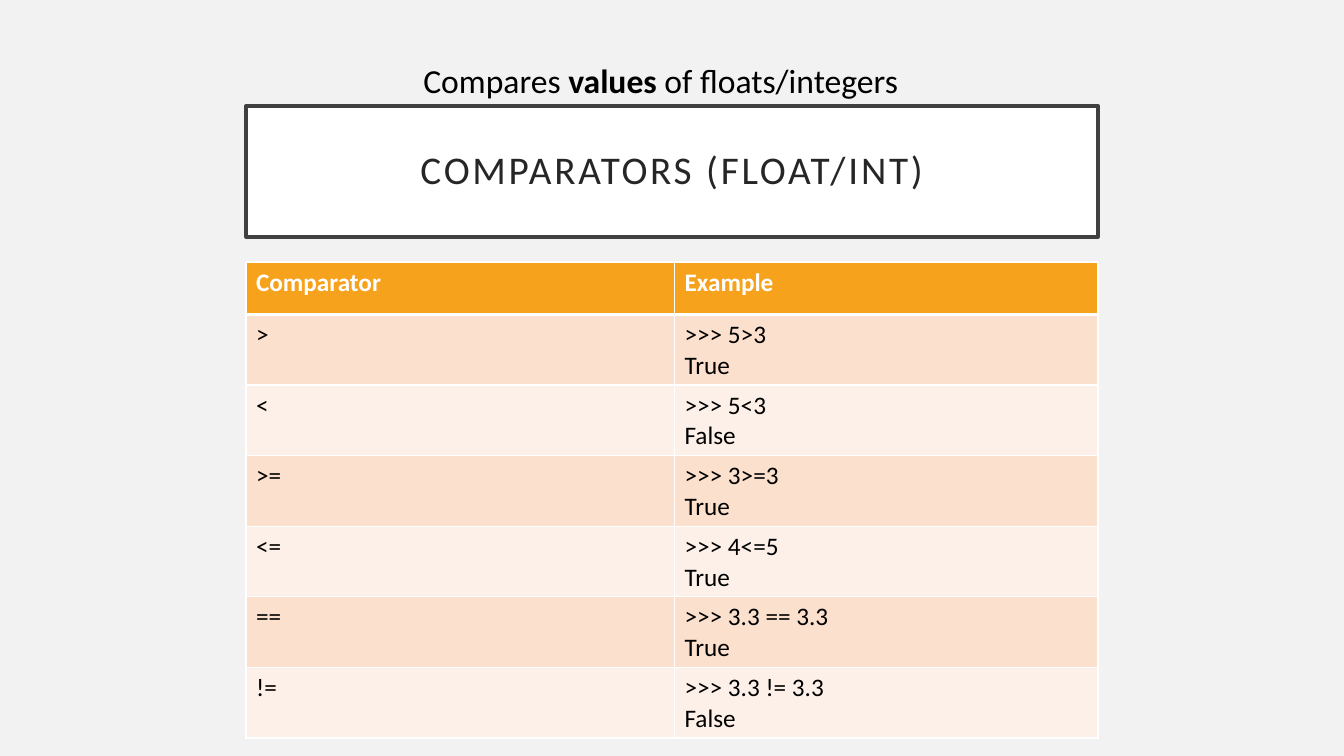
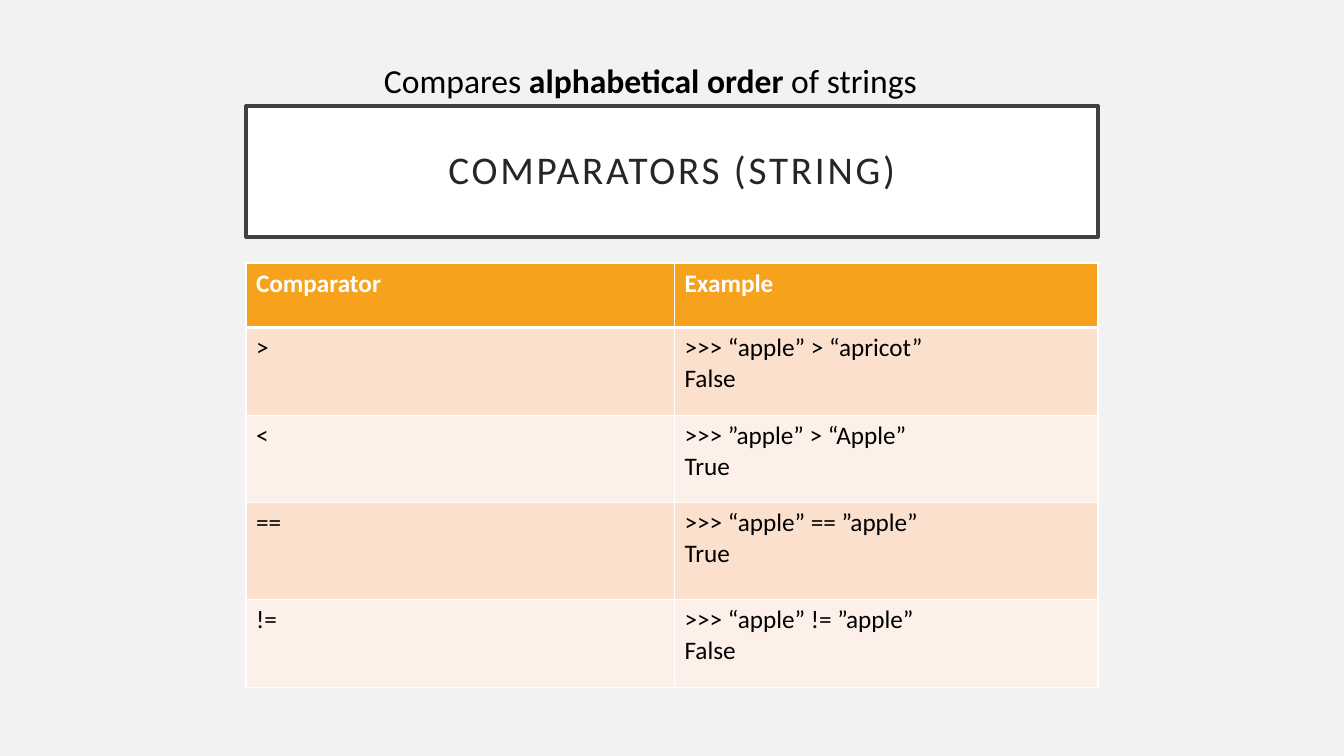
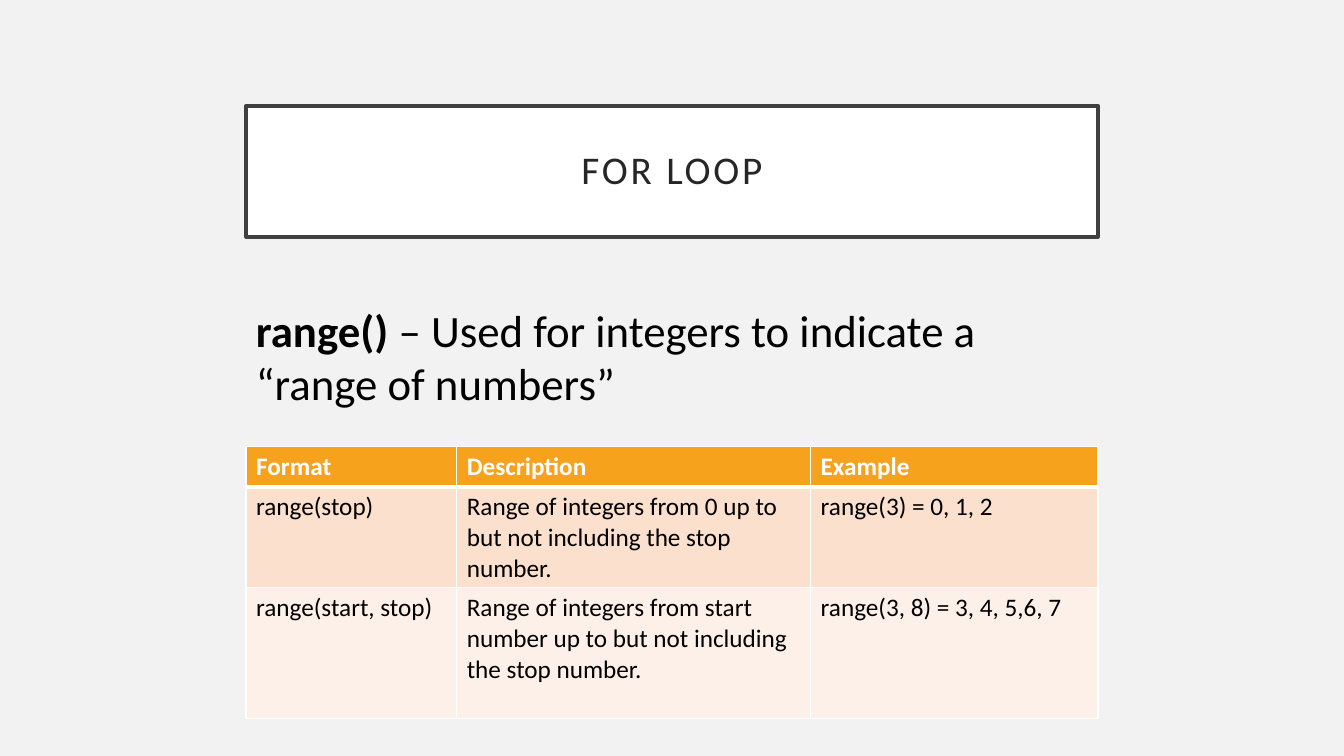
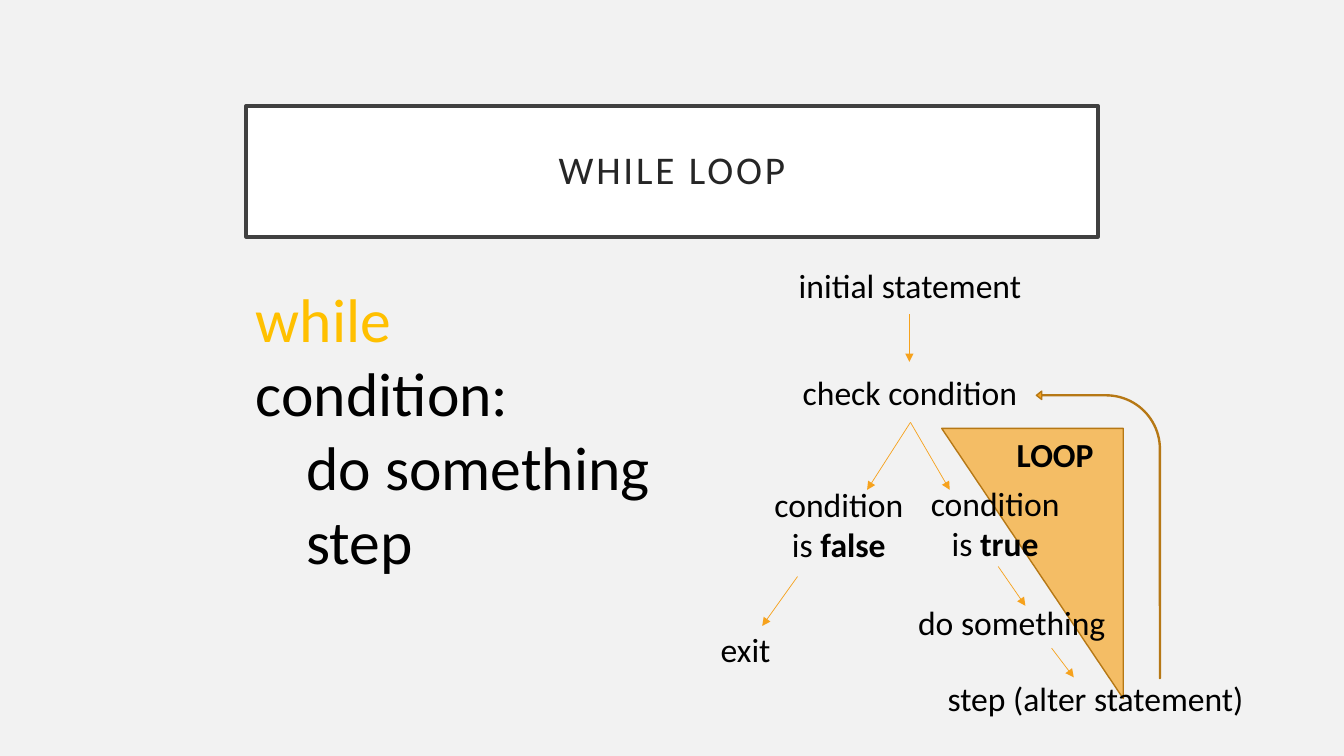
from pptx import Presentation
from pptx.dml.color import RGBColor
from pptx.enum.shapes import MSO_CONNECTOR, MSO_SHAPE
from pptx.enum.text import MSO_ANCHOR, MSO_AUTO_SIZE, PP_ALIGN
from pptx.oxml.ns import qn
from pptx.util import Inches, Pt
from lxml import etree

STRAIGHT = MSO_CONNECTOR.STRAIGHT
RIGHT_TRIANGLE, BENT_ARROW = MSO_SHAPE.RIGHT_TRIANGLE, MSO_SHAPE.BENT_ARROW
MIDDLE, CENTER, LEFT = MSO_ANCHOR.MIDDLE, PP_ALIGN.CENTER, PP_ALIGN.LEFT
FIT_SHAPE, NO_FIT = MSO_AUTO_SIZE.SHAPE_TO_FIT_TEXT, MSO_AUTO_SIZE.NONE

THEME = {
    "font": "Calibri", "background": "F2F2F2", "white": "FFFFFF", "black": "000000",
    "title": "262626", "frame": "404040", "accent": "F6A21D", "outline": "B67815",
    "keyword": "FFC000", "bands": ("FBE0CD", "FDF0E8"),
    "title_size": 28, "table_size": 18, "label_size": 24, "lead_size": 32, "code_size": 44,
}
SLIDE_W, SLIDE_H = 13.33, 7.5
MARGIN, CONTENT_W = 2.44, 8.45
TITLE_BOX = (MARGIN, 1.05, CONTENT_W, 1.3)
LABEL_W, LABEL_H, BRANCH_W = 3.45, 0.5, 1.62

TABLE_SLIDES = [
    {
        "title": "COMPARATORS (FLOAT/INT)",
        "lead": ("Compares **values** of floats/integers", (4.1, 0.55, 5.12, 0.5), "label_size"),
        "top": 2.6, "columns": (4.25, 4.2), "rows": [0.52] + [0.7] * 6,
        "cells": [
            ("Comparator", "Example"),
            (">", ">>> 5>3\nTrue"),
            ("<", ">>> 5<3\nFalse"),
            (">=", ">>> 3>=3\nTrue"),
            ("<=", ">>> 4<=5\nTrue"),
            ("==", ">>> 3.3 == 3.3\nTrue"),
            ("!=", ">>> 3.3 != 3.3\nFalse"),
        ],
    },
    {
        "title": "COMPARATORS (STRING)",
        "lead": ("Compares **alphabetical order **of strings", (3.71, 0.55, 5.92, 0.5), "label_size"),
        "top": 2.61, "columns": (4.25, 4.2), "rows": [0.64, 0.87, 0.87, 0.96, 0.87],
        "cells": [
            ("Comparator", "Example"),
            (">", ">>> “apple” > “apricot”\nFalse"),
            ("<", ">>> ”apple” > “Apple”\nTrue"),
            ("==", ">>> “apple” == ”apple”\nTrue"),
            ("!=", ">>> “apple” != ”apple”\nFalse"),
        ],
    },
    {
        "title": "FOR LOOP",
        "lead": ("**range() **– Used for integers to indicate a “range of numbers”",
                 (MARGIN, 2.95, CONTENT_W, 1.18), "lead_size"),
        "top": 4.43, "columns": (2.09, 3.51, 2.85), "rows": [0.4, 1.0, 1.3],
        "cells": [
            ("Format", "Description", "Example"),
            ("range(stop)",
             "Range of integers from 0 up to but not including the stop number.",
             "range(3) = 0, 1, 2"),
            ("range(start, stop)",
             "Range of integers from start number up to but not including the stop number.",
             "range(3, 8) = 3, 4, 5,6, 7"),
        ],
    },
]

WHILE_TITLE = "WHILE LOOP"
WHILE_CODE = [("while", "\vcondition:"), ("", "do something"), ("", "step")]
CODE_BOX, CODE_INDENT = (MARGIN, 2.74, 4.18, 2.32), 0.5
FLOW_LABELS = [
    ("initial statement", 7.3, 2.58, LABEL_W, LABEL_H),
    ("check condition", 7.3, 3.64, LABEL_W, LABEL_H),
    ("condition is **false**", 7.51, 4.75, BRANCH_W, 0.91),
    ("exit", 5.67, 6.19, LABEL_W, LABEL_H),
    ("condition is **true**", 9.06, 4.74, BRANCH_W, 0.91),
    ("do something", 8.31, 5.92, LABEL_W, LABEL_H),
    ("step (alter statement)", 9.14, 6.68, LABEL_W, LABEL_H),
    ("**LOOP**", 9.53, 4.26, 1.87, LABEL_H),
]
FLOW_ARROWS = [
    (9.02, 3.12, 9.02, 3.59),
    (9.03, 4.19, 8.6, 4.86),
    (9.03, 4.19, 9.42, 4.86),
    (7.91, 5.72, 7.56, 6.21),
    (9.9, 5.62, 10.17, 6.01),
    (10.43, 6.43, 10.65, 6.72),
]
LOOP_AREA, LOOP_ALPHA = (9.34, 4.25, 1.8, 2.68), 66
RETURN_ARROW, RETURN_BEND = (10.28, 3.88, 1.23, 2.85), (0.008, 0.034, 0.043, 0.438)


def rgb(name):
    return RGBColor.from_string(THEME.get(name, name))


def inches(values):
    return [Inches(v) for v in values]


def apply(target, formats):
    for name, value in formats.items():
        setattr(target, name, value)


def paint(shape, fill, line, width):
    shape.fill.solid()
    shape.fill.fore_color.rgb = rgb(fill)
    shape.line.color.rgb = rgb(line)
    shape.line.width = Pt(width)


def add_run(paragraph, text, size, color="black", bold=False):
    run = paragraph.add_run()
    run.text = text
    apply(run.font, {"name": THEME["font"], "size": Pt(THEME[size]), "bold": bold})
    run.font.color.rgb = rgb(color)
    return run


def add_marked(paragraph, text, size):
    for i, part in enumerate(text.split("**")):
        if part:
            add_run(paragraph, part, size, bold=i % 2 == 1)


def add_text(slide, box, text="", size="label_size", align=LEFT):
    frame = slide.shapes.add_textbox(*inches(box)).text_frame
    apply(frame, {"word_wrap": True, "auto_size": FIT_SHAPE})
    frame.paragraphs[0].alignment = align
    add_marked(frame.paragraphs[0], text, size)
    return frame


def add_slide(prs, title):
    slide = prs.slides.add_slide(prs.slide_layouts[5])
    heading = slide.shapes.title
    apply(heading, dict(zip(("left", "top", "width", "height"), inches(TITLE_BOX))))
    paint(heading, "white", "frame", 2.5)
    frame = heading.text_frame
    apply(frame, {"vertical_anchor": MIDDLE, "word_wrap": True, "auto_size": NO_FIT})
    apply(frame, {f"margin_{side}": Inches(0.2) for side in ("left", "top", "right", "bottom")})
    paragraph = frame.paragraphs[0]
    apply(paragraph, {"alignment": CENTER, "line_spacing": 0.9})
    run = add_run(paragraph, title, "title_size", "title")
    run.font._element.set("spc", "200")
    return slide


def set_borders(cell, widths):
    properties = cell._tc.get_or_add_tcPr()
    for i, (side, width) in enumerate(widths.items()):
        line = etree.Element(qn(f"a:ln{side}"), w=str(Pt(width)))
        fill = etree.SubElement(line, qn("a:solidFill"))
        etree.SubElement(fill, qn("a:srgbClr"), val=THEME["white"])
        properties.insert(i, line)


def add_grid(slide, top, columns, rows, cells):
    box = (MARGIN, top, sum(columns), sum(rows))
    table = slide.shapes.add_table(len(rows), len(columns), *inches(box)).table
    for column, width in zip(table.columns, columns):
        column.width = Inches(width)
    for r, (height, texts) in enumerate(zip(rows, cells)):
        table.rows[r].height = Inches(height)
        header = r == 0
        for c, text in enumerate(texts):
            cell = table.cell(r, c)
            cell.fill.solid()
            cell.fill.fore_color.rgb = rgb("accent" if header else THEME["bands"][(r - 1) % 2])
            set_borders(cell, {"L": 1, "R": 1, "T": 3 if r == 1 else 1, "B": 3 if header else 1})
            frame = cell.text_frame
            for i, line in enumerate(text.split("\n")):
                paragraph = frame.add_paragraph() if i else frame.paragraphs[0]
                add_run(paragraph, line, "table_size", "white" if header else "black", header)


def add_arrow(slide, ends):
    arrow = slide.shapes.add_connector(STRAIGHT, *inches(ends))
    arrow.line.color.rgb = rgb("accent")
    arrow.line.width = Pt(0.5)
    etree.SubElement(arrow.line._get_or_add_ln(), qn("a:tailEnd"), type="triangle")
    etree.SubElement(arrow._element.spPr, qn("a:effectLst"))


def add_accent(slide, kind, box):
    shape = slide.shapes.add_shape(kind, *inches(box))
    shape.shadow.inherit = False
    paint(shape, "accent", "outline", 1)
    return shape


def add_code(slide):
    frame = add_text(slide, CODE_BOX, size="code_size")
    for i, (keyword, rest) in enumerate(WHILE_CODE):
        paragraph = frame.add_paragraph() if i else frame.paragraphs[0]
        if keyword:
            add_run(paragraph, keyword, "code_size", "keyword")
            paragraph.add_line_break()
        else:
            paragraph._p.get_or_add_pPr().set("marL", str(Inches(CODE_INDENT)))
        add_run(paragraph, rest.strip("\v"), "code_size")


def add_flow(slide):
    area = add_accent(slide, RIGHT_TRIANGLE, LOOP_AREA)
    area.rotation = 180
    color = area._element.spPr.find(qn("a:solidFill"))[0]
    etree.SubElement(color, qn("a:alpha"), val=str(LOOP_ALPHA * 1000))
    for text, *box in FLOW_LABELS:
        add_text(slide, box, text, align=CENTER)
    for ends in FLOW_ARROWS:
        add_arrow(slide, ends)
    back = add_accent(slide, BENT_ARROW, RETURN_ARROW)
    for i, value in enumerate(RETURN_BEND):
        back.adjustments[i] = value
    back._element.spPr.find(qn("a:xfrm")).set("flipH", "1")


def main():
    prs = Presentation()
    apply(prs, {"slide_width": Inches(SLIDE_W), "slide_height": Inches(SLIDE_H)})
    backdrop = prs.slide_master.background.fill
    backdrop.solid()
    backdrop.fore_color.rgb = rgb("background")
    for content in TABLE_SLIDES:
        slide = add_slide(prs, content["title"])
        text, box, size = content["lead"]
        add_text(slide, box, text, size)
        add_grid(slide, content["top"], content["columns"], content["rows"], content["cells"])
    slide = add_slide(prs, WHILE_TITLE)
    add_code(slide)
    add_flow(slide)
    prs.save("out.pptx")


if __name__ == "__main__":
    main()
